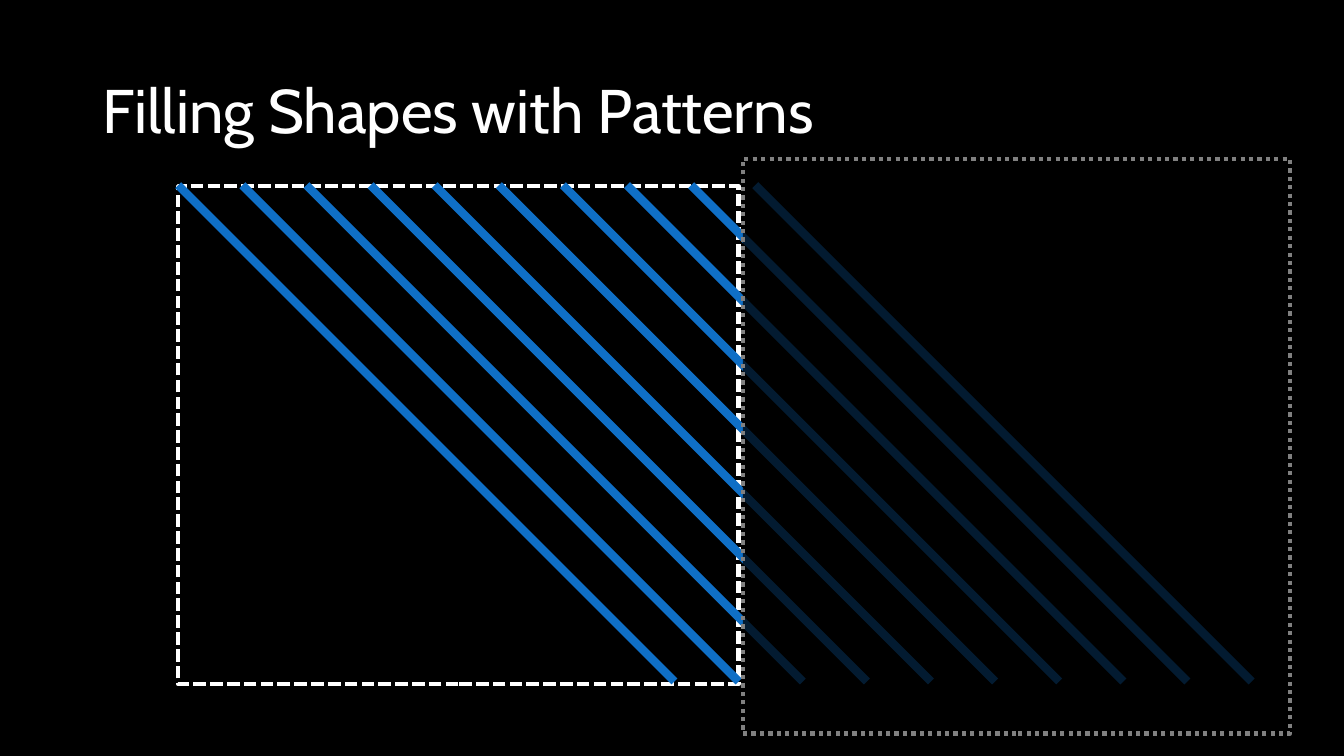
from lxml import etree
from pptx import Presentation
from pptx.dml.color import RGBColor
from pptx.enum import dml, shapes, text
from pptx.oxml.ns import qn
from pptx.util import Pt

BLACK = RGBColor(0x00, 0x00, 0x00)
WHITE = RGBColor(0xFF, 0xFF, 0xFF)
BLUE = RGBColor(0x0F, 0x6F, 0xC6)
GRAY = RGBColor(0x80, 0x80, 0x80)


def add_box(left, top, width, height, color, dash):
    box = slide.shapes.add_shape(shapes.MSO_SHAPE.RECTANGLE,
                                 Pt(left), Pt(top), Pt(width), Pt(height))
    box.shadow.inherit = False
    box.fill.background()
    box.line.color.rgb = color
    box.line.width = Pt(3)
    box.line.dash_style = dash
    return box


# Black slide
deck = Presentation()
deck.slide_width, deck.slide_height = Pt(960), Pt(540)
slide = deck.slides.add_slide(deck.slide_layouts[6])
slide.background.fill.solid()
slide.background.fill.fore_color.rgb = BLACK

# Shape to be filled
add_box(127.3, 133, 400.2, 355.8, WHITE, dml.MSO_LINE.SQUARE_DOT)

# Diagonal stripes, evenly spaced
start, top, span, pitch = 127.3, 132.3, 354.5, 45.8
for i in range(10):
    x = start + i * pitch
    stripe = slide.shapes.add_connector(shapes.MSO_CONNECTOR.STRAIGHT,
                                        Pt(x), Pt(top), Pt(x + span), Pt(top + span))
    stripe.line.color.rgb = BLUE
    stripe.line.width = Pt(6)
    etree.SubElement(stripe._element.spPr, qn("a:effectLst"))

# Title
title = slide.shapes.add_textbox(Pt(66), Pt(28.8), Pt(828), Pt(104.4))
frame = title.text_frame
frame.word_wrap = True
frame.vertical_anchor = text.MSO_ANCHOR.MIDDLE
para = frame.paragraphs[0]
para.line_spacing = 0.9
run = para.add_run()
run.text = "Filling Shapes with Patterns"
run.font.name = "Cabin"
run.font.size = Pt(44)
run.font.color.rgb = WHITE

# Translucent cover over the overhanging stripes
cover = add_box(530.6, 113.6, 391, 410.4, GRAY, dml.MSO_LINE.ROUND_DOT)
cover.fill.solid()
cover.fill.fore_color.rgb = BLACK
shade = cover._element.spPr.find(qn("a:solidFill")).find(qn("a:srgbClr"))
etree.SubElement(shade, qn("a:alpha"), val="75000")

deck.save("out.pptx")
